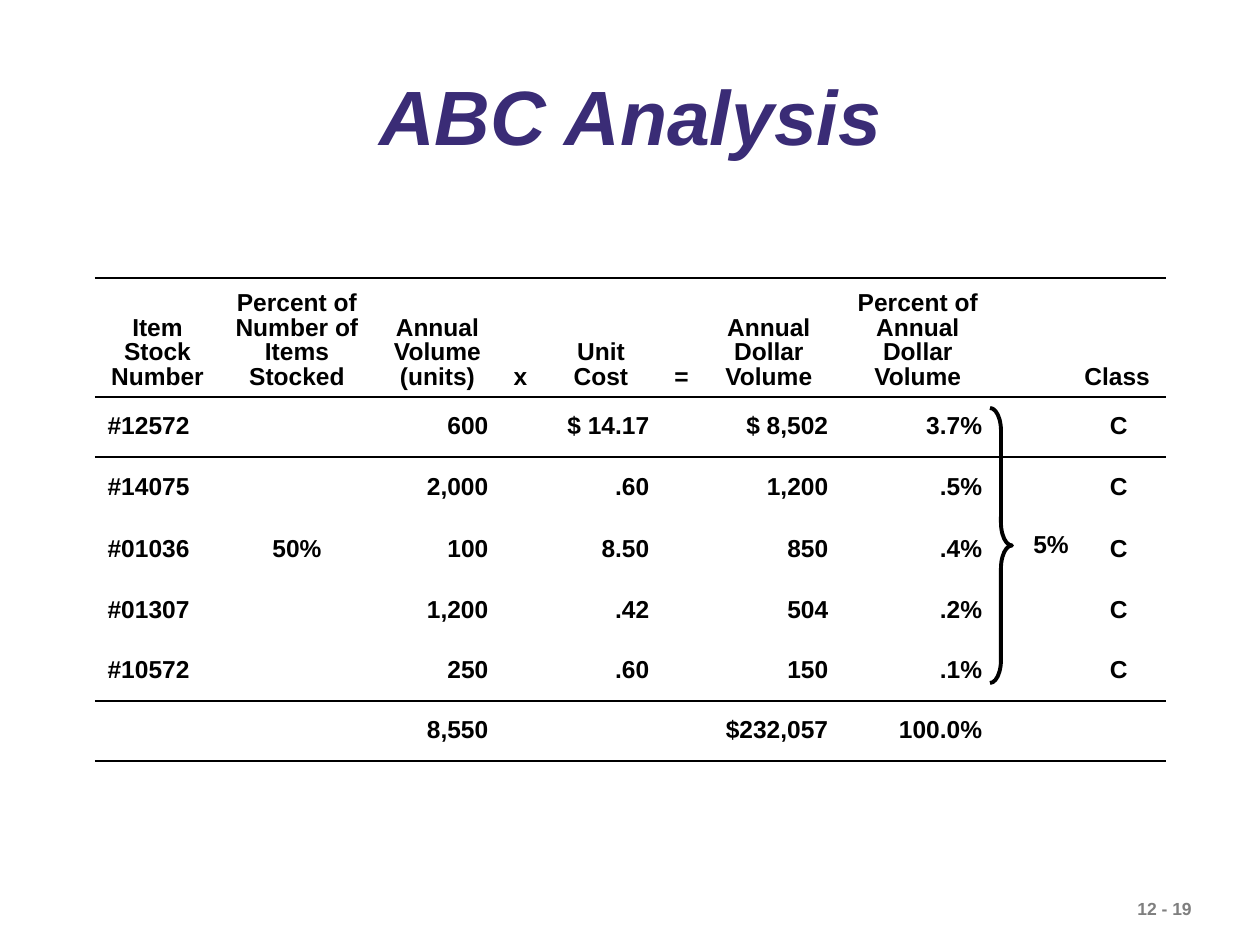
import pptx
import pptx.util
import pptx.dml.color
import pptx.enum.shapes
import pptx.enum.text
import pptx.oxml.ns
from lxml import etree

ALIGN = pptx.enum.text.PP_ALIGN
ANCHOR = pptx.enum.text.MSO_ANCHOR

TITLE = "ABC Analysis"
PAGE_NUMBER = "12 - 19"
CLASS_SHARE = "5%"

# heading, width in px, heading alignment, body alignment
COLUMNS = [
    ("Item Stock Number", 125, ALIGN.CENTER, ALIGN.LEFT),
    ("Percent of Number of Items Stocked", 154, ALIGN.CENTER, ALIGN.CENTER),
    ("Annual Volume (units)", 127, ALIGN.CENTER, ALIGN.RIGHT),
    ("x", 39, ALIGN.CENTER, ALIGN.CENTER),
    ("Unit Cost", 122, ALIGN.CENTER, ALIGN.RIGHT),
    ("=", 35, ALIGN.CENTER, ALIGN.CENTER),
    ("Annual Dollar Volume", 144, ALIGN.CENTER, ALIGN.RIGHT),
    ("Percent of Annual Dollar Volume", 154, ALIGN.CENTER, ALIGN.RIGHT),
    ("", 77, ALIGN.CENTER, ALIGN.CENTER),
    ("Class", 94, ALIGN.LEFT, ALIGN.CENTER),
]
ITEMS = [
    ("#12572", "", "600", "", "$ 14.17", "", "$ 8,502", "3.7%", "", "C"),
    ("#14075", "", "2,000", "", ".60", "", "1,200", ".5%", "", "C"),
    ("#01036", "50%", "100", "", "8.50", "", "850", ".4%", "", "C"),
    ("#01307", "", "1,200", "", ".42", "", "504", ".2%", "", "C"),
    ("#10572", "", "250", "", ".60", "", "150", ".1%", "", "C"),
]
TOTALS = ("", "", "8,550", "", "", "", "$232,057", "100.0%", "", "")
ROW_HEIGHTS = [119, 60, 62, 62, 60, 60, 60]

THEME = {
    "font": "Arial",
    "title": "3A2C76", "text": "000000", "muted": "7F7F7F",
    "title_size": 44, "text_size": 14, "page_size": 10,
    "rule": 1.47, "thin_rule": 1.08, "brace": 2.25,
    "line_spacing": 0.9, "space_after": 7,
}
NO_GRID_STYLE = "{2D5ABB26-0587-4C30-8999-92F81FD0307C}"


def px(value):
    return pptx.util.Emu(round(value * 914400 / 126))


def box(left, top, width, height):
    return px(left), px(top), px(width), px(height)


def color(name):
    return pptx.dml.color.RGBColor.from_string(THEME[name])


def style_runs(paragraph, size, color_name, italic=None):
    for run in paragraph.runs:
        run.font.name = THEME["font"]
        run.font.size = pptx.util.Pt(THEME[size])
        run.font.bold = True
        run.font.italic = italic
        run.font.color.rgb = color(color_name)


def add_label(shapes, text, bounds, size, color_name, wrap):
    text_frame = shapes.add_textbox(*bounds).text_frame
    text_frame.word_wrap = wrap
    text_frame.text = text
    style_runs(text_frame.paragraphs[0], size, color_name)


def set_rules(cell, top, bottom):
    """Draw the horizontal borders of a cell; None leaves a side open."""
    properties = cell._tc.get_or_add_tcPr()
    sides = [(tag, width) for tag, width in (("a:lnT", top), ("a:lnB", bottom)) if width]
    for position, (tag, width) in enumerate(sides):
        line = etree.Element(pptx.oxml.ns.qn(tag), w=str(pptx.util.Pt(width)))
        fill = etree.SubElement(line, pptx.oxml.ns.qn("a:solidFill"))
        etree.SubElement(fill, pptx.oxml.ns.qn("a:srgbClr"), val=THEME["text"])
        properties.insert(position, line)


def fill_cell(cell, text, align, anchor):
    cell.fill.background()
    cell.vertical_anchor = anchor
    cell.margin_left = cell.margin_right = pptx.util.Inches(0.1)
    cell.margin_top = cell.margin_bottom = pptx.util.Inches(0.05)
    if text:
        cell.text_frame.text = text
        paragraph = cell.text_frame.paragraphs[0]
        paragraph.alignment = align
        paragraph.line_spacing = THEME["line_spacing"]
        paragraph.space_after = pptx.util.Pt(THEME["space_after"])
        style_runs(paragraph, "text_size", "text")


def add_inventory_table(slide):
    rows = [[column[0] for column in COLUMNS], *ITEMS, TOTALS]
    total_width = sum(column[1] for column in COLUMNS)
    frame = slide.shapes.add_table(
        len(rows), len(COLUMNS), *box(95, 278, total_width, sum(ROW_HEIGHTS)))
    table = frame.table
    table.first_row = table.horz_banding = False
    next(table._tbl.iter(pptx.oxml.ns.qn("a:tableStyleId"))).text = NO_GRID_STYLE

    # rules above the header, below it, above the totals and below them
    rules = {0: THEME["rule"], 1: THEME["thin_rule"],
             len(rows) - 1: THEME["rule"], len(rows): THEME["rule"]}
    for column, (_, width, _, _) in zip(table.columns, COLUMNS):
        column.width = px(width)
    for row_index, values in enumerate(rows):
        table.rows[row_index].height = px(ROW_HEIGHTS[row_index])
        is_header = row_index == 0
        anchor = ANCHOR.BOTTOM if is_header else ANCHOR.MIDDLE
        for column_index, (_, _, head_align, body_align) in enumerate(COLUMNS):
            cell = table.cell(row_index, column_index)
            align = head_align if is_header else body_align
            fill_cell(cell, values[column_index], align, anchor)
            set_rules(cell, rules.get(row_index), rules.get(row_index + 1))


def add_class_brace(slide):
    group = slide.shapes.add_group_shape()
    brace = group.shapes.add_shape(
        pptx.enum.shapes.MSO_SHAPE.RIGHT_BRACE, *box(990, 408, 22, 275))
    brace.shadow.inherit = False
    brace.adjustments[0] = 1.04
    brace.fill.background()
    brace.line.color.rgb = color("text")
    brace.line.width = pptx.util.Pt(THEME["brace"])
    add_label(group.shapes, CLASS_SHARE, box(1021, 523, 61, 43), "text_size", "text", False)


def main():
    presentation = pptx.Presentation()
    presentation.slide_width, presentation.slide_height = px(1260), px(945)
    slide = presentation.slides.add_slide(presentation.slide_layouts[5])

    title = slide.shapes.title
    title.left, title.top, title.width, title.height = box(95, 60, 1071, 122)
    title.text_frame.text = TITLE
    title.text_frame.vertical_anchor = ANCHOR.MIDDLE
    paragraph = title.text_frame.paragraphs[0]
    paragraph.alignment = ALIGN.CENTER
    paragraph.line_spacing = THEME["line_spacing"]
    style_runs(paragraph, "title_size", "title", italic=True)

    add_inventory_table(slide)
    add_class_brace(slide)
    add_label(slide.shapes, PAGE_NUMBER, box(1125, 892, 134, 34), "page_size", "muted", True)
    presentation.save("out.pptx")


if __name__ == "__main__":
    main()
